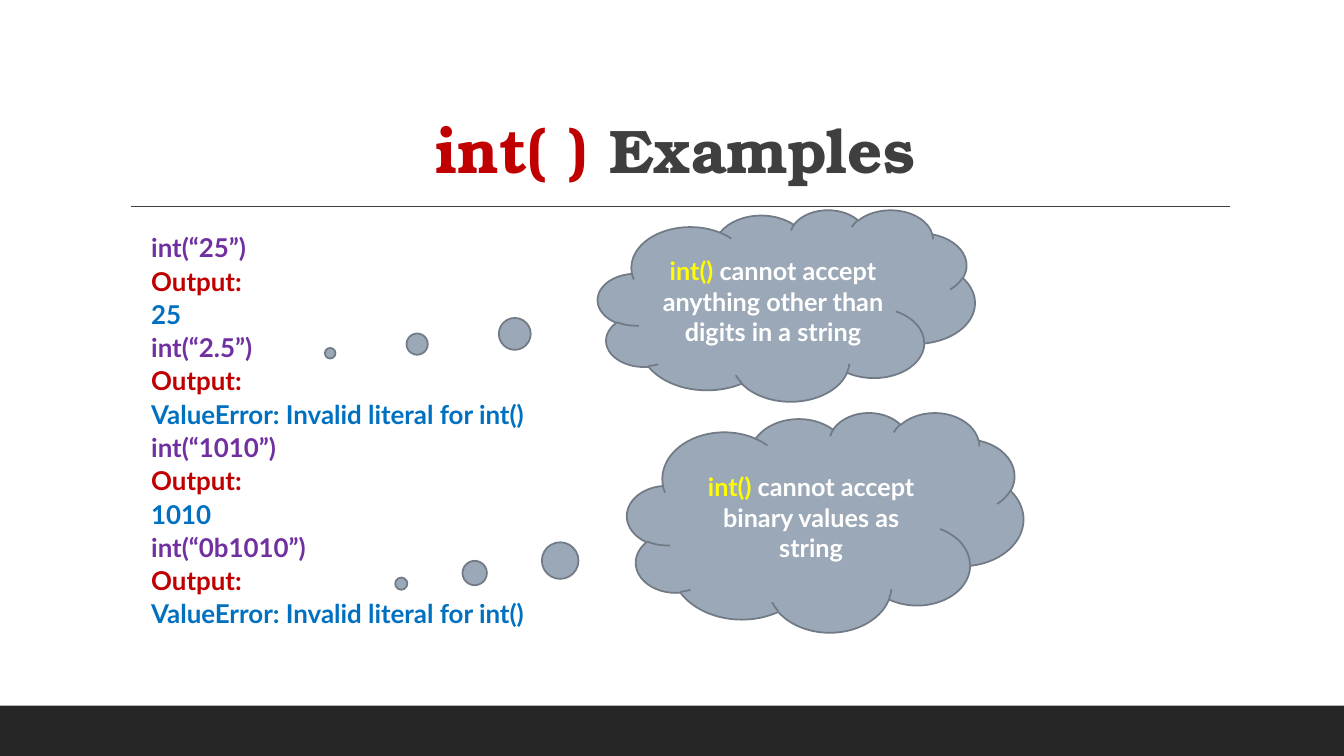
from pptx import Presentation
from pptx.dml.color import RGBColor
from pptx.enum.shapes import MSO_CONNECTOR, MSO_SHAPE
from pptx.enum.text import MSO_ANCHOR, PP_ALIGN
from pptx.oxml.ns import qn
from pptx.util import Inches, Pt
from lxml import etree

RECTANGLE, CLOUD = MSO_SHAPE.RECTANGLE, MSO_SHAPE.CLOUD_CALLOUT
STRAIGHT = MSO_CONNECTOR.STRAIGHT
TOP, MIDDLE, BOTTOM = MSO_ANCHOR.TOP, MSO_ANCHOR.MIDDLE, MSO_ANCHOR.BOTTOM
LEFT, CENTER = PP_ALIGN.LEFT, PP_ALIGN.CENTER


def rgb(value):
    return RGBColor.from_string(value)


class ExampleSlide:
    HEADING_FONT, BODY_FONT = "TeX Gyre Bonum", "Lato"
    DARK, INK, RED = "262626", "3F3F3F", "C00000"
    PURPLE, BLUE = "7030A0", "0070C0"
    CLOUD_FILL, CLOUD_EDGE = "9BA8B7", "717A85"
    YELLOW, WHITE = "FFFF00", "FFFFFF"

    def __init__(self, presentation):
        self.slide = presentation.slides.add_slide(presentation.slide_layouts[6])
        self.shapes = self.slide.shapes

    def shape(self, kind, box, fill, edge=None):
        shape = self.shapes.add_shape(kind, *map(Inches, box))
        shape.shadow.inherit = False
        shape.fill.solid()
        shape.fill.fore_color.rgb = rgb(fill)
        if edge:
            shape.line.color.rgb = rgb(edge)
            shape.line.width = Pt(1.25)
        else:
            shape.line.fill.background()
        return shape

    def rule(self, left, right, y):
        rule = self.shapes.add_connector(STRAIGHT, *map(Inches, (left, y, right, y)))
        rule.line.color.rgb = rgb(self.INK)
        rule.line.width = Pt(1)
        etree.SubElement(rule._element.spPr, qn("a:effectLst"))

    def fill_text(self, frame, paragraphs, font, size, align, anchor, spacing=1.0, gap=0):
        frame.word_wrap = True
        frame.vertical_anchor = anchor
        for index, runs in enumerate(paragraphs):
            paragraph = frame.add_paragraph() if index else frame.paragraphs[0]
            paragraph.alignment = align
            paragraph.line_spacing = spacing
            if index:
                paragraph.space_before = Pt(gap)
            paragraph.font.name = font
            paragraph.font.size = Pt(size)
            paragraph.font.bold = True
            for text, color in runs:
                run = paragraph.add_run()
                run.text = text
                run.font.color.rgb = rgb(color)

    def title(self, box, runs):
        frame = self.shapes.add_textbox(*map(Inches, box)).text_frame
        self.fill_text(frame, [runs], self.HEADING_FONT, 44, CENTER, BOTTOM, 0.9)

    def examples(self, box, calls):
        frame = self.shapes.add_textbox(*map(Inches, box)).text_frame
        frame.margin_left, frame.margin_right = Inches(0.3), 0
        lines = []
        for call, output in calls:
            lines += [[(call, self.PURPLE)], [("Output:", self.RED)], [(output, self.BLUE)]]
        self.fill_text(frame, lines, self.BODY_FONT, 18.5, LEFT, TOP, 0.8, 6)

    def cloud(self, box, tail, remark):
        cloud = self.shape(CLOUD, box, self.CLOUD_FILL, self.CLOUD_EDGE)
        cloud.adjustments[0], cloud.adjustments[1] = tail
        runs = [("int() ", self.YELLOW), (remark, self.WHITE)]
        self.fill_text(cloud.text_frame, [runs], self.BODY_FONT, 18, CENTER, MIDDLE)


def main():
    presentation = Presentation()
    presentation.slide_width = Inches(13.33)
    presentation.slide_height = Inches(7.5)

    page = ExampleSlide(presentation)
    page.shape(RECTANGLE, (0, 7, 13.33, 0.5), page.DARK)
    page.rule(1.3, 12.2, 2.05)
    page.title((1.2, 0.31, 11, 1.59), [("int( ) ", page.RED), ("Examples", page.INK)])

    error = "ValueError: Invalid literal for int()"
    page.examples((1.2, 2.31, 11, 4.11), [
        ("int(“25”)", "25"),
        ("int(“2.5”)", error),
        ("int(“1010”)", "1010"),
        ("int(“0b1010”)", error),
    ])
    page.cloud((5.93, 2.08, 3.74, 1.9), (-1.21, 0.25),
               "cannot accept anything other than digits in a string")
    page.cloud((6.22, 4.09, 3.93, 2.18), (-1.07, 0.28),
               "cannot accept binary values as string")

    presentation.save("out.pptx")


if __name__ == "__main__":
    main()
